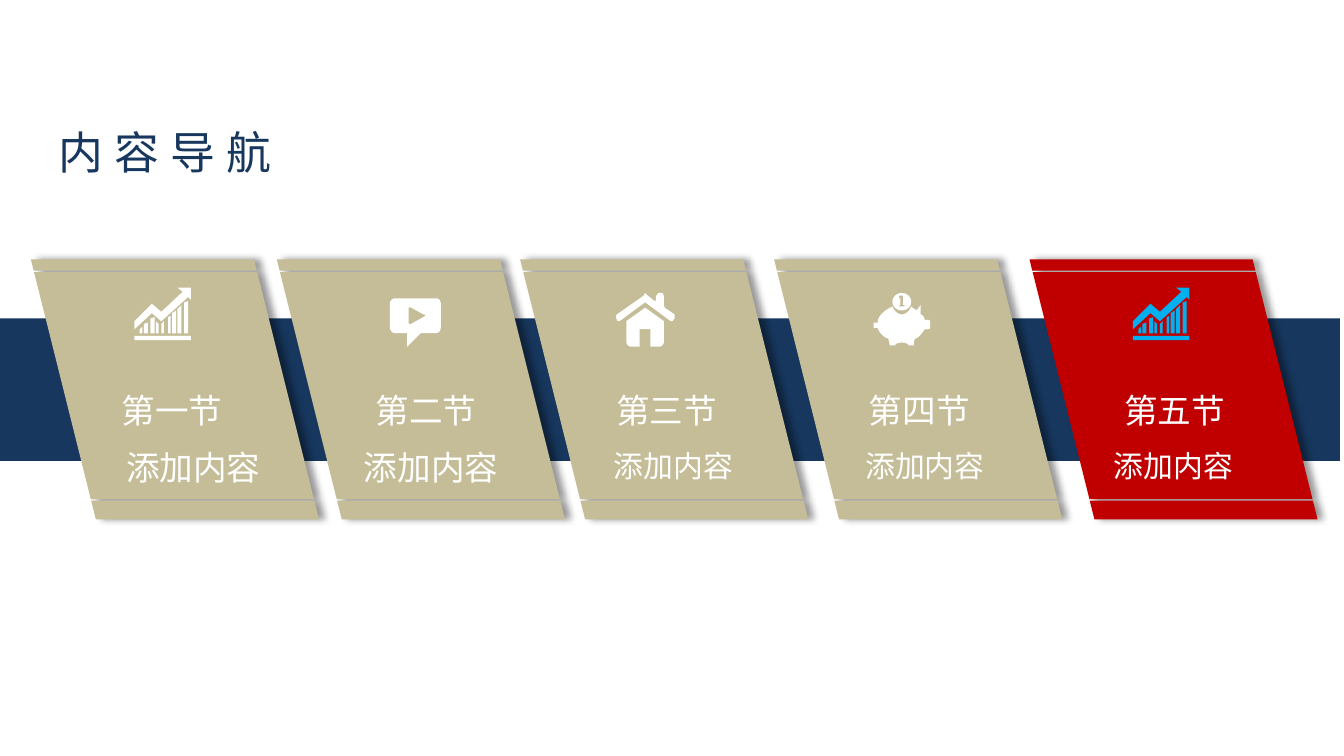
"""Builds a content navigation slide with five slanted section panels."""
from lxml import etree
from pptx import Presentation
from pptx import util as u
from pptx.dml.color import RGBColor
from pptx.enum import shapes, text
from pptx.oxml import parse_xml
from pptx.oxml.ns import nsdecls, qn

NAVY = RGBColor(0x17, 0x37, 0x5E)
TAN = RGBColor(0xC4, 0xBD, 0x97)
RED = RGBColor(0xC0, 0x00, 0x00)
BLUE = RGBColor(0x00, 0xB0, 0xF0)
WHITE = RGBColor(0xFF, 0xFF, 0xFF)
FONT = "Noto Sans CJK SC"

BARS = [(4, 6, 31, 29), (7, 10, 27, 26), (12, 15, 23, 22), (16, 18, 25, 27), (20, 22, 27, 25),
        (25, 27, 22, 21), (28, 31, 19, 17), (32, 35, 16, 13), (37, 40, 11, 10)]
CHART = [
    [(0, 36), (42, 36), (42, 39), (0, 39)],
    [(0, 25), (13, 12), (20, 18), (36, 3), (32, 0), (42, 0), (42, 9), (40, 7),
     (20, 25), (13, 19), (0, 31)],
] + [[(left, start), (left, 34), (right, 34), (right, end)] for left, right, start, end in BARS]
VIDEO = [
    [(34, 0), (4, 0), (2, 0, 0, 2, 0, 4), (0, 21), (0, 24, 2, 26, 4, 26), (13, 26), (13, 36),
     (23, 26), (34, 26), (37, 26, 38, 24, 38, 21), (38, 4), (38, 2, 37, 0, 34, 0)],
    [(25, 14), (16, 19), (14, 19, 14, 19, 14, 18), (14, 8), (14, 7, 14, 6, 16, 7), (25, 12),
     (27, 12, 27, 13, 25, 14)],
]
HOUSE = [
    [(22, 11), (8, 21), (8, 36), (8, 38, 9, 40, 12, 40), (18, 40), (18, 27), (26, 27), (26, 40),
     (32, 40), (35, 40, 36, 38, 36, 36), (36, 21)],
    [(1, 20), (0, 18, 0, 17, 1, 16), (21, 2), (22, 0), (24, 2), (29, 6), (30, 6, 30, 6, 30, 5),
     (30, 3), (30, 2, 32, 0, 32, 0), (35, 0), (35, 0, 36, 2, 36, 3), (36, 9),
     (36, 10, 37, 12, 38, 12), (44, 16), (44, 17, 44, 18, 44, 19), (43, 20),
     (43, 21, 42, 21, 41, 21), (22, 7), (3, 21), (2, 21, 1, 21, 1, 20)],
]
PIGGY_BANK = [
    [(28, 10), (30, 12, 31, 12, 32, 13), (35, 9), (35, 16), (36, 16, 38, 18, 38, 20), (40, 20),
     (40, 20, 42, 20, 42, 21), (42, 26), (42, 27, 40, 27, 40, 27), (38, 27),
     (36, 30, 34, 33, 31, 34), (30, 35, 30, 37, 30, 39), (26, 39), (26, 38, 24, 37, 22, 37),
     (20, 37), (18, 37, 16, 38, 16, 39), (12, 39), (12, 37, 11, 35, 11, 34),
     (7, 33, 4, 29, 3, 26), (0, 26), (0, 22), (3, 22), (3, 17, 8, 13, 14, 10),
     (15, 13, 18, 16, 21, 16), (24, 16, 27, 13, 28, 10)],
    [(21, 0), (17, 0, 14, 3, 14, 6.5), (14, 10, 17, 13, 21, 13), (25, 13, 28, 10, 28, 6.5),
     (28, 3, 25, 0, 21, 0)],
    [(19, 10), (23, 10), (23, 9), (22, 9), (22, 2), (19, 2), (19, 4), (20, 4), (20, 9), (19, 9)],
]
PANEL = [[(top / 4, top), (top / 4 + 166, top), (bottom / 4 + 166, bottom), (bottom / 4, bottom)]
         for top, bottom in [(0, 8.5), (9.5, 178.5), (179.5, 193.5)]]

# name, panel left, fill, icon, icon left, icon top, icon colour, name left, caption left, caption size
SECTIONS = [
    ("第一节", 0.23, TAN, CHART, 1.0, 2.14, WHITE, 0.41, 0.84, 18),
    ("第二节", 2.06, TAN, VIDEO, 2.9, 2.22, WHITE, 2.3, 2.61, 18),
    ("第三节", 3.87, TAN, HOUSE, 4.58, 2.18, WHITE, 4.09, 4.47, 16),
    ("第四节", 5.76, TAN, PIGGY_BANK, 6.5, 2.18, WHITE, 5.97, 6.34, 16),
    ("第五节", 7.66, RED, CHART, 8.43, 2.14, BLUE, 7.87, 8.19, 16),
]
SECTIONS = [section for section in SECTIONS]


def flatten(contour, steps=6):
    points = []
    for segment in contour:
        if len(segment) == 2:
            points.append(segment)
            continue
        x0, y0 = points[-1]
        x1, y1, x2, y2, x3, y3 = segment
        for step in range(1, steps + 1):
            t = step / steps
            a, b, c, d = (1 - t) ** 3, 3 * t * (1 - t) ** 2, 3 * t * t * (1 - t), t ** 3
            points.append((a * x0 + b * x1 + c * x2 + d * x3, a * y0 + b * y1 + c * y2 + d * y3))
    return points


class NavigationSlide:
    def __init__(self, slide, font):
        self.slide = slide
        self.font = font

    def paint(self, shape, color):
        shape.shadow.inherit = False
        shape.fill.solid()
        shape.fill.fore_color.rgb = color
        shape.line.fill.background()
        return shape

    def band(self, left, top, width, height, color):
        box = [u.Inches(value) for value in (left, top, width, height)]
        self.paint(self.slide.shapes.add_shape(shapes.MSO_SHAPE.RECTANGLE, *box), color)

    def outline(self, contours, left, top, color):
        builder = None
        for contour in contours:
            points = [(u.Inches(left + x / 100), u.Inches(top + y / 100))
                      for x, y in flatten(contour)]
            if builder is None:
                builder = self.slide.shapes.build_freeform(*points[0])
            else:
                builder.move_to(*points[0])
            builder.add_line_segments(points[1:], close=True)
        return self.paint(builder.convert_to_shape(), color)

    def panel(self, left, top, color):
        shape = self.outline(PANEL, left, top, color)
        effects = shape._element.spPr.find(qn("a:effectLst"))
        effects.append(parse_xml(
            f'<a:outerShdw {nsdecls("a")} blurRad="{u.Pt(4)}" dist="{u.Pt(3)}" dir="0" '
            'algn="l" rotWithShape="0"><a:srgbClr val="000000"><a:alpha val="40000"/>'
            '</a:srgbClr></a:outerShdw>'))

    def label(self, content, left, top, width, height, size, color=WHITE,
              wrap=True, align=text.PP_ALIGN.LEFT, spacing=0):
        box = [u.Inches(value) for value in (left, top, width, height)]
        frame = self.slide.shapes.add_textbox(*box).text_frame
        frame.word_wrap = wrap
        frame.auto_size = text.MSO_AUTO_SIZE.SHAPE_TO_FIT_TEXT
        paragraph = frame.paragraphs[0]
        paragraph.text = content
        paragraph.alignment = align
        font = paragraph.font
        font.size = u.Pt(size)
        font.color.rgb = color
        font.name = self.font
        properties = paragraph._p.pPr.find(qn("a:defRPr"))
        etree.SubElement(properties, qn("a:ea")).set("typeface", self.font)
        if spacing:
            properties.set("spc", str(spacing * 100))


def main():
    presentation = Presentation()
    presentation.slide_width = u.Inches(10)
    presentation.slide_height = presentation.slide_width * 9 // 16
    page = NavigationSlide(presentation.slides.add_slide(presentation.slide_layouts[6]), FONT)
    page.band(-0.04, 2.37, 10.01, 1.06, NAVY)
    page.label("内容导航", 0.34, 0.88, 2.56, 0.5, 24, NAVY, spacing=6)
    for (name, left, fill, icon, icon_left, icon_top, icon_color,
         name_left, caption_left, caption_size) in SECTIONS:
        page.panel(left, 1.93, fill)
        page.outline(icon, icon_left, icon_top, icon_color)
        page.label(name, name_left, 2.85, 1.74, 0.4, 18, align=text.PP_ALIGN.CENTER)
        width, height = (1.21, 0.4) if caption_size == 18 else (1.1, 0.37)
        page.label("添加内容", caption_left, 3.28, width, height, caption_size, wrap=False)
    presentation.save("out.pptx")


if __name__ == "__main__":
    main()
